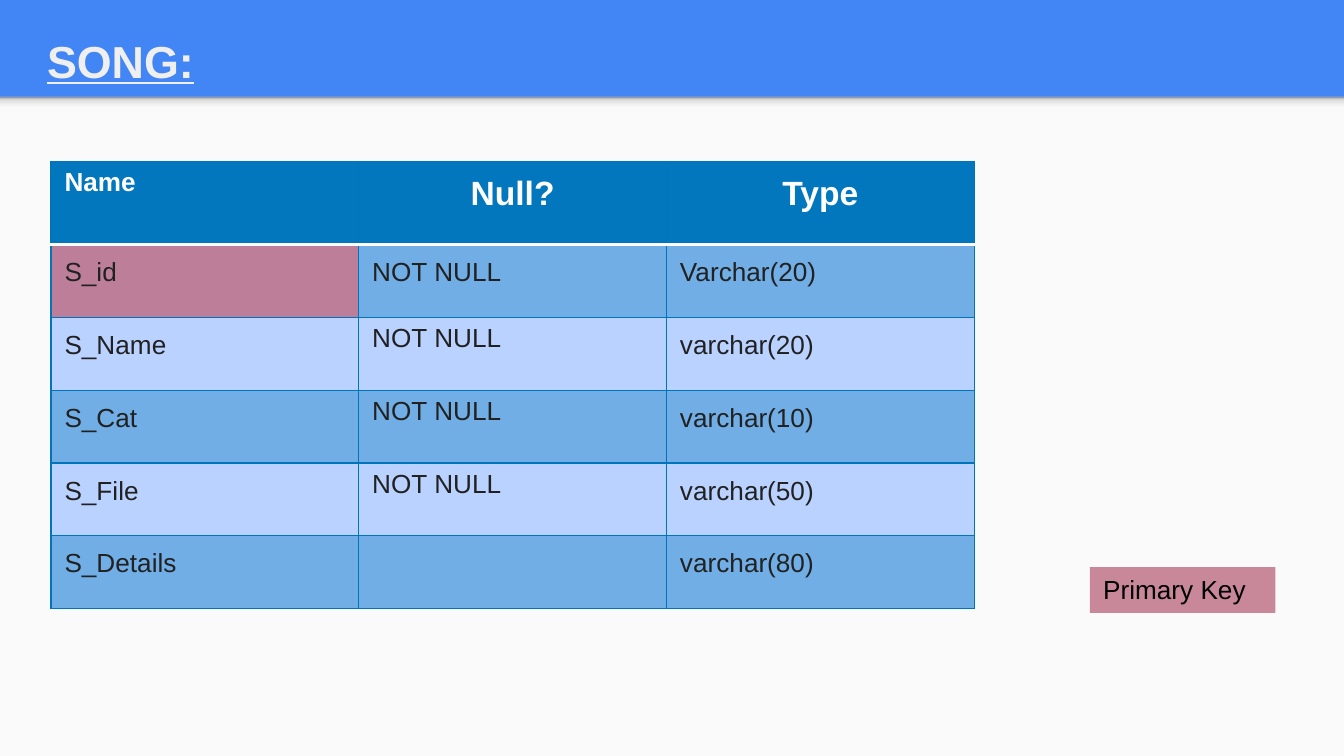
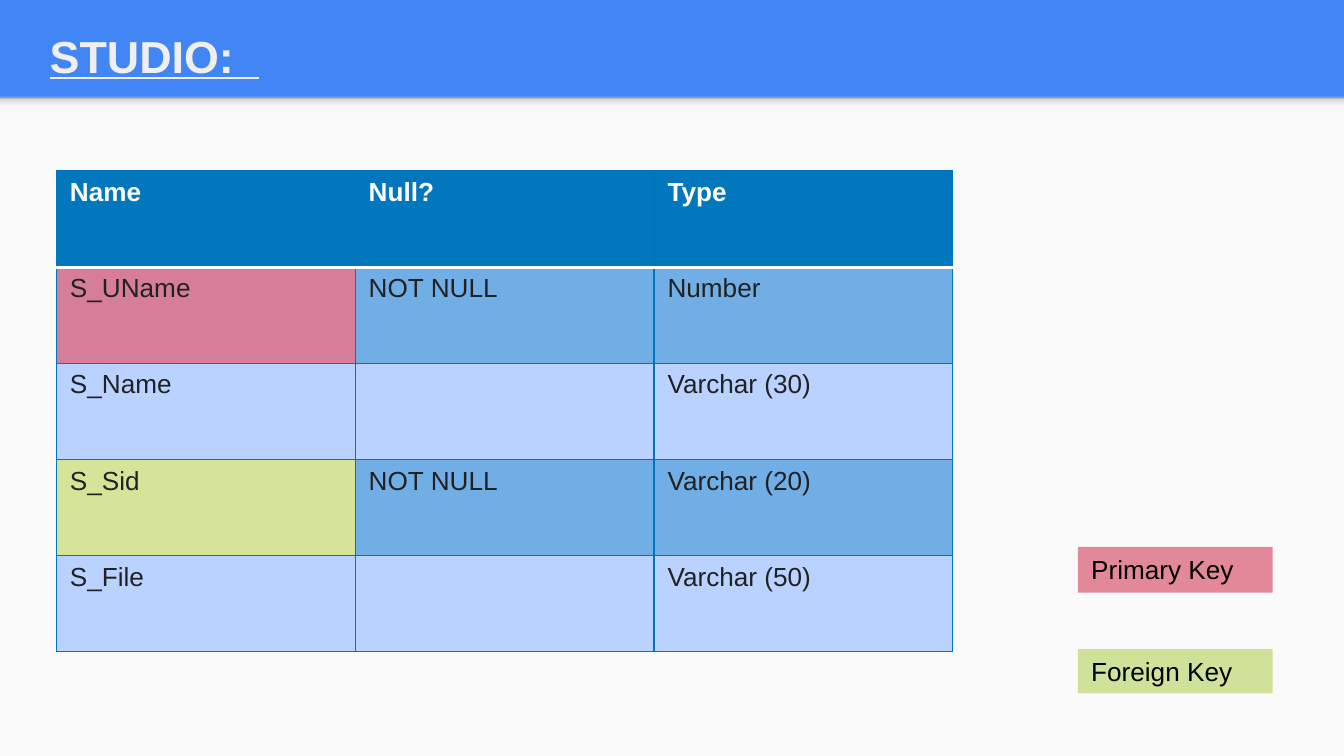
import pptx
import pptx.util
import pptx.oxml
import pptx.oxml.ns
import pptx.dml.color
import pptx.enum.shapes
import pptx.enum.text
from lxml import etree

Inches = pptx.util.Inches
Pt = pptx.util.Pt
qn = pptx.oxml.ns.qn
Align = pptx.enum.text.PP_ALIGN
Anchor = pptx.enum.text.MSO_ANCHOR

FONT = "Arial"
COLORS = {
    "band": "4285F4", "panel": "FAFAFA", "title": "EFEFEF",
    "header": "0277BD", "border": "0075BB", "white": "FFFFFF",
    "odd_row": "70AEE5", "even_row": "BAD2FF", "cell_text": "212121",
    "song_key": "BC7E99", "studio_key": "D67E99", "foreign_key": "D6E499",
    "song_label": "C98899", "studio_label": "E28899",
    "foreign_label": "D0E299", "label_text": "000000",
}
SHADOW_STOPS = [(0, "F9F9F9"), (36, "F9F9F9"), (80, "DEDEDE"), (100, "999999")]


def rgb(name):
    return pptx.dml.color.RGBColor.from_string(COLORS[name])


def add_span(para, text, size, color, bold=False, underline=False):
    span = para.add_run()
    span.text = text
    font = span.font
    font.name, font.size = FONT, Pt(size)
    font.bold, font.underline = bold, underline
    font.color.rgb = rgb(color)


def add_rect(page, box, color):
    shape = page.shapes.add_shape(
        pptx.enum.shapes.MSO_SHAPE.RECTANGLE, *map(Inches, box))
    shape.shadow.inherit = False
    shape.fill.solid()
    shape.fill.fore_color.rgb = rgb(color)
    shape.line.fill.background()
    return shape


def style_layout(layout, page):
    """Give the layout its blue band, pale panel and the shadow between them."""
    layout.background.fill.solid()
    layout.background.fill.fore_color.rgb = rgb("band")
    panel = add_rect(page, (0, 0.72, 10, 4.91), "panel")
    shadow = add_rect(page, (0, 0.72, 10, 0.12), "panel")
    shadow.fill.gradient()
    shadow.fill.gradient_angle = 90
    stops = shadow._element.spPr.find(".//" + qn("a:gsLst"))
    for stop in list(stops):
        stops.remove(stop)
    for position, color in SHADOW_STOPS:
        stop = etree.SubElement(stops, qn("a:gs"), pos=str(position * 1000))
        etree.SubElement(stop, qn("a:srgbClr"), val=color)
    for shape in (panel, shadow):
        layout.shapes._spTree.append(shape._element)


def add_title(page, box, text, anchor):
    title = page.shapes.title
    title.left, title.top, title.width, title.height = map(Inches, box)
    frame = title.text_frame
    frame.word_wrap = True
    frame.auto_size = pptx.enum.text.MSO_AUTO_SIZE.NONE
    frame.vertical_anchor = anchor
    frame.margin_left = frame.margin_right = Inches(0.1)
    frame.margin_top = frame.margin_bottom = Inches(0.1)
    para = frame.paragraphs[0]
    para.alignment = Align.LEFT
    add_span(para, text, 24, "title", bold=True, underline=True)


def set_borders(cell, edges):
    """Draw the four edges, given as (color, points) for left, right, top, bottom."""
    properties = cell._tc.get_or_add_tcPr()
    for index, (side, (color, points)) in enumerate(zip("LRTB", edges)):
        line = etree.Element(qn("a:ln" + side), w=str(Pt(points)))
        fill = etree.SubElement(line, qn("a:solidFill"))
        etree.SubElement(fill, qn("a:srgbClr"), val=COLORS[color])
        properties.insert(index, line)


def add_schema(page, box, rows, header_height, key_fills, padded=(), big=()):
    """Place a column list; padded cells have deep insets, big headers are centred."""
    left, top, width, height = box
    table = page.shapes.add_table(
        len(rows), len(rows[0]), *map(Inches, box)).table
    table.first_row = table.horz_banding = False
    for column in table.columns:
        column.width = Inches(width / len(rows[0]))
    body_height = (height - header_height) / (len(rows) - 1)
    for index, row in enumerate(table.rows):
        row.height = Inches(body_height if index else header_height)

    thin, thick = ("border", 0.75), ("white", 2)
    for r, texts in enumerate(rows):
        for c, text in enumerate(texts):
            cell = table.cell(r, c)
            row_fill = "odd_row" if r % 2 else "even_row"
            cell.fill.solid()
            cell.fill.fore_color.rgb = rgb(
                key_fills.get((r, c), row_fill) if r else "header")
            set_borders(cell, (thin, thin, thick if r == 1 else thin,
                               thick if r == 0 else thin))
            cell.margin_left = cell.margin_right = Inches(0.1)
            inset = Inches(0.1 if (r, c) in padded else 0.05)
            cell.margin_top = cell.margin_bottom = inset
            cell.vertical_anchor = Anchor.TOP
            para = cell.text_frame.paragraphs[0]
            large = r == 0 and c in big
            para.alignment = Align.CENTER if large else Align.LEFT
            if text:
                add_span(para, text, 18 if large else 14,
                         "cell_text" if r else "white", bold=r == 0)


def add_key_label(page, box, text, color):
    frame = add_rect(page, box, color).text_frame
    frame.word_wrap = True
    frame.vertical_anchor = Anchor.TOP
    para = frame.paragraphs[0]
    para.alignment = Align.LEFT
    add_span(para, text, 14, "label_text")


def build_song(page):
    add_title(page, (0.25, 0.15, 3.46, 0.41), "SONG:", Anchor.TOP)
    rows = [
        ("Name", "Null?", "Type"),
        ("S_id", "NOT NULL", "Varchar(20)"),
        ("S_Name", "NOT NULL", "varchar(20)"),
        ("S_Cat", "NOT NULL", "varchar(10)"),
        ("S_File", "NOT NULL", "varchar(50)"),
        ("S_Details", "", "varchar(80)"),
    ]
    tight = {(0, 0), (2, 1), (3, 1), (4, 1)}
    padded = {(r, c) for r in range(6) for c in range(3)} - tight
    add_schema(page, (0.38, 1.2, 6.87, 3.33), rows, 0.62,
               {(1, 0): "song_key"}, padded, big=(1, 2))
    add_key_label(page, (8.11, 4.22, 1.38, 0.34), "Primary Key", "song_label")


def build_studio(page):
    add_title(page, (0.27, 0.08, 2.45, 0.66), "STUDIO:  ", Anchor.MIDDLE)
    rows = [
        ("Name", "Null?", "Type"),
        ("S_UName", "NOT NULL", "Number"),
        ("S_Name", "", "Varchar (30)"),
        ("S_Sid", "NOT NULL", "Varchar (20)"),
        ("S_File", "", "Varchar (50)"),
    ]
    add_schema(page, (0.42, 1.27, 6.67, 3.58), rows, 0.72,
               {(1, 0): "studio_key", (3, 0): "foreign_key"})
    add_key_label(page, (8.02, 4.07, 1.45, 0.34), "Primary Key", "studio_label")
    add_key_label(page, (8.02, 4.83, 1.45, 0.33), "Foreign Key", "foreign_label")


# Widescreen deck, 16 to 9
deck = pptx.Presentation()
deck.slide_width = Inches(10)
deck.slide_height = Inches(10) * 9 // 16
title_only = deck.slide_layouts[5]
pages = [deck.slides.add_slide(title_only) for _ in range(2)]
style_layout(title_only, pages[0])
build_song(pages[0])
build_studio(pages[1])
deck.save("out.pptx")
